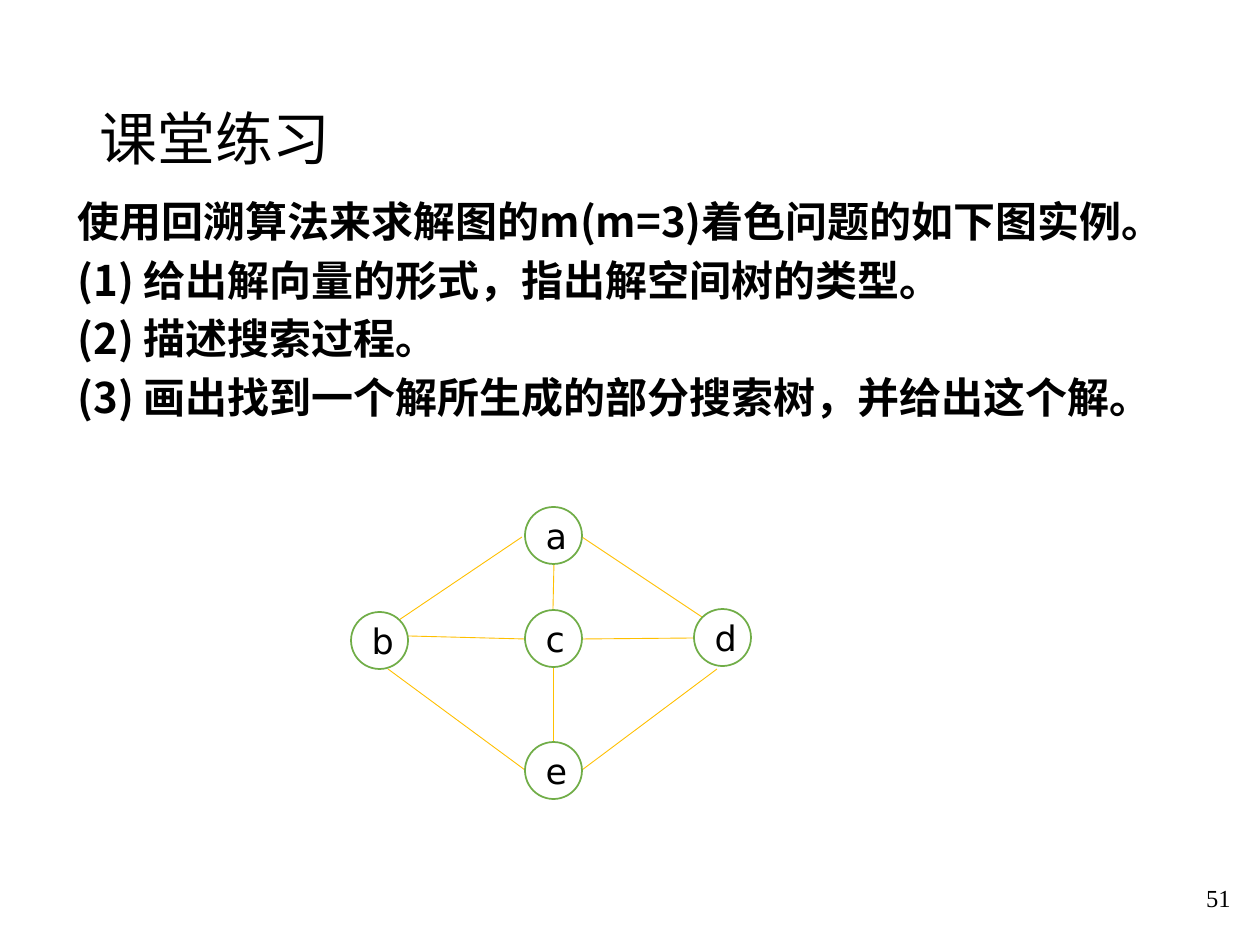
from lxml import etree
from pptx import Presentation
from pptx import util as u
from pptx.dml.color import RGBColor
from pptx.enum import shapes, text
from pptx.oxml.ns import qn

PX = 914400 / 126
CJK = "Noto Sans CJK SC"
NODE_SIZE = 57
NODES = {"a": (525, 507), "b": (351, 612), "c": (525, 610),
         "d": (694, 609), "e": (525, 742)}
EDGES = [
    (702, 617, 582, 537),
    (694, 638, 582, 639),
    (525, 639, 408, 636),
    (525, 770, 388, 669),
    (582, 770, 717, 669),
    (399, 620, 522, 537),
    (553, 610, 554, 564),
    (553, 742, 553, 667),
]
TASKS = [
    "使用回溯算法来求解图的m(m=3)着色问题的如下图实例。",
    "(1) 给出解向量的形式，指出解空间树的类型。",
    "(2) 描述搜索过程。",
    "(3) 画出找到一个解所生成的部分搜索树，并给出这个解。",
]


def px(*lengths):
    return [u.Emu(round(length * PX)) for length in lengths]


def color(value):
    return RGBColor.from_string(value)


def place(box, *bounds):
    box.left, box.top, box.width, box.height = px(*bounds)


def format_para(para, size, font, bold=False, align=text.PP_ALIGN.LEFT):
    para.alignment = align
    for span in para.runs:
        span.font.size = u.Pt(size)
        span.font.name = font
        span.font.bold = bold
        span.font.color.rgb = color("000000")
        east_asian = etree.SubElement(span.font._element, qn("a:ea"))
        east_asian.set("typeface", font)


def fill_title(box, title):
    place(box, 87, 50, 1086, 183)
    frame = box.text_frame
    frame.text = title
    frame.auto_size = text.MSO_AUTO_SIZE.NONE
    frame.vertical_anchor = text.MSO_ANCHOR.MIDDLE
    frame.paragraphs[0].line_spacing = 0.9
    format_para(frame.paragraphs[0], 33, CJK)


def fill_body(box, lines):
    place(box, 65, 195, 1134, 291)
    frame = box.text_frame
    frame.text = "\n".join(lines)
    frame.auto_size = text.MSO_AUTO_SIZE.NONE
    frame.vertical_anchor = text.MSO_ANCHOR.TOP
    for para in frame.paragraphs:
        para.line_spacing = 0.9
        para.space_before = u.Pt(7.5)
        format_para(para, 24, CJK, bold=True)
        settings = para._p.get_or_add_pPr()
        settings.set("marL", "0")
        settings.set("indent", "0")
        etree.SubElement(settings, qn("a:buNone"))


def add_page_number(page, number):
    box = page.shapes.add_textbox(*px(1176, 872, 67, 52))
    frame = box.text_frame
    frame.word_wrap = True
    frame.vertical_anchor = text.MSO_ANCHOR.MIDDLE
    frame.text = number
    format_para(frame.paragraphs[0], 14, "Times New Roman",
                align=text.PP_ALIGN.RIGHT)


def add_edge(graph, *ends):
    edge = graph.shapes.add_connector(shapes.MSO_CONNECTOR.STRAIGHT, *px(*ends))
    edge.line.color.rgb = color("FFC000")
    edge.line.width = u.Pt(0.5)
    etree.SubElement(edge._element.spPr, qn("a:effectLst"))


def add_node(graph, label, left, top):
    node = graph.shapes.add_shape(shapes.MSO_SHAPE.OVAL,
                                  *px(left, top, NODE_SIZE, NODE_SIZE))
    node.shadow.inherit = False
    node.fill.solid()
    node.fill.fore_color.rgb = color("FFFFFF")
    node.line.color.rgb = color("70AD47")
    node.line.width = u.Pt(1)
    frame = node.text_frame
    frame.word_wrap = True
    frame.vertical_anchor = text.MSO_ANCHOR.MIDDLE
    frame.text = label
    format_para(frame.paragraphs[0], 20, "DejaVu Sans")


def main():
    deck = Presentation()
    deck.slide_width, deck.slide_height = px(1260, 945)
    page = deck.slides.add_slide(deck.slide_layouts[1])
    fill_title(page.shapes.title, "课堂练习")
    fill_body(page.placeholders[1], TASKS)
    add_page_number(page, "51")
    graph = page.shapes.add_group_shape()
    for ends in EDGES:
        add_edge(graph, *ends)
    for label, corner in NODES.items():
        add_node(graph, label, *corner)
    deck.save("out.pptx")


if __name__ == "__main__":
    main()
